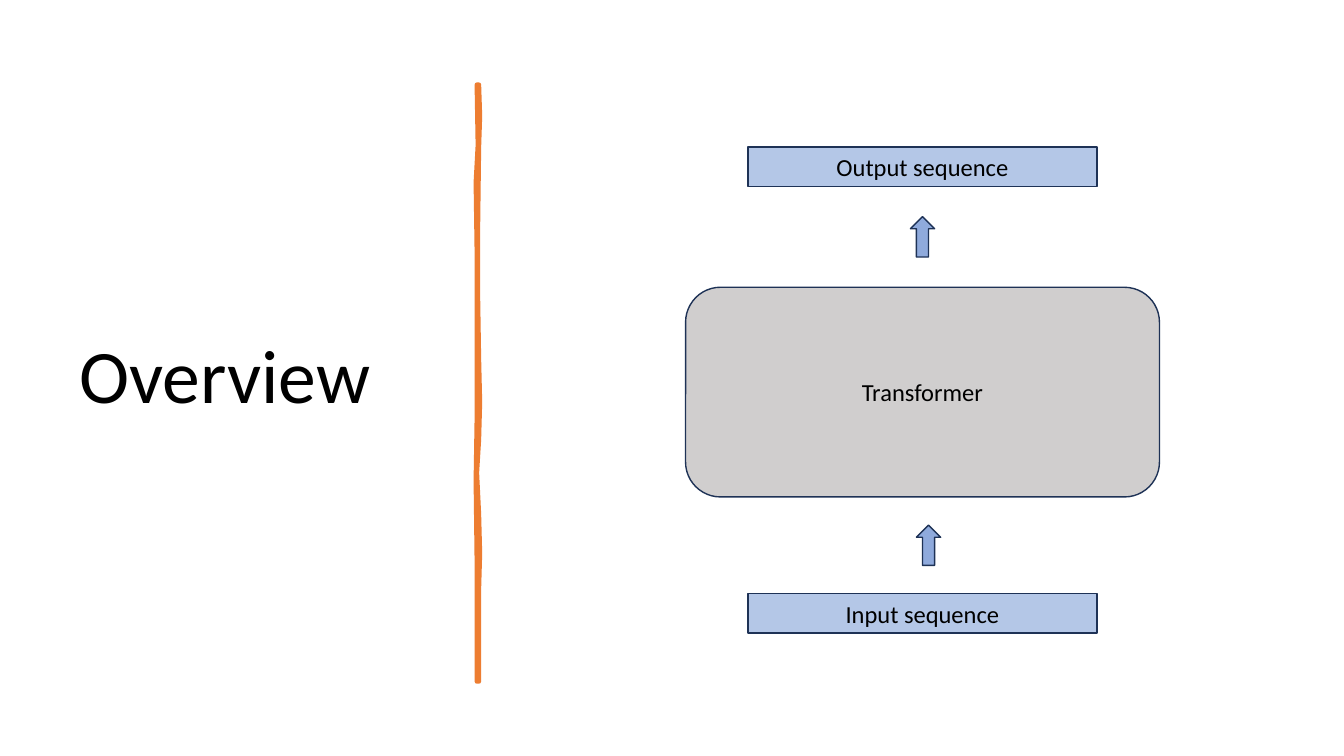
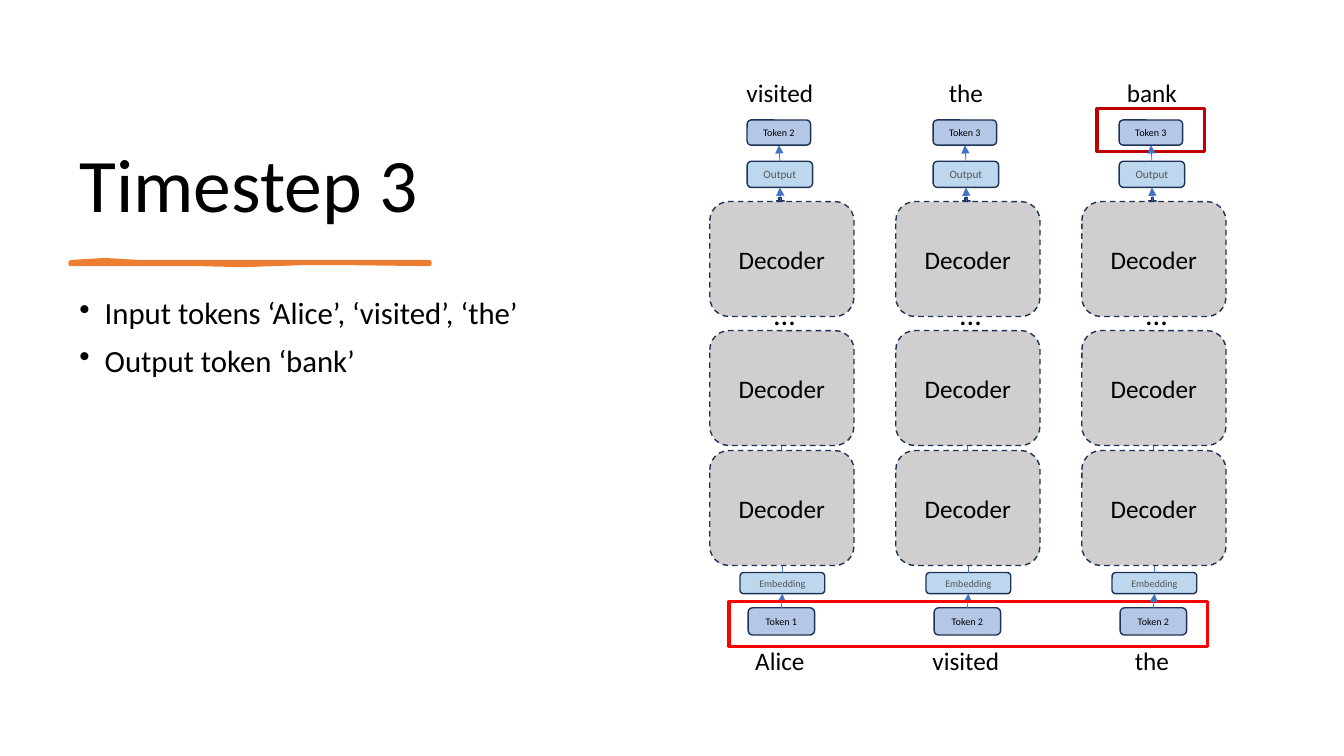
from lxml.etree import SubElement
from pptx import Presentation
from pptx.dml.color import RGBColor
from pptx.enum.dml import MSO_LINE
from pptx.enum.shapes import MSO_CONNECTOR, MSO_SHAPE
from pptx.enum.text import MSO_ANCHOR, PP_ALIGN
from pptx.oxml.ns import qn
from pptx.util import Inches, Pt

COLORS = {
    "ink": "000000", "muted": "555555", "edge": "1E3256", "accent": "ED7D31",
    "gray": "D0CECE", "token": "B4C7E7", "layer": "BDD7EE", "arrow": "8FAADC",
    "link": "4472C4", "input": "FF0000", "output": "C00000",
}
FONT = "Calibri"
TITLE = {"size": 54, "spacing": 0.9}
BODY = {"size": 22, "spacing": 0.9, "bullet": True}

# Brush outline: (distance along, offset across), there and back
BRUSH_TALL = [
    (0, 0.02), (0.31, 0.03), (0.62, 0.02), (1.42, 0.01), (2.1, 0.01),
    (2.72, 0.02), (3.15, 0.03), (3.52, 0.02), (3.85, 0), (4.26, 0.02),
    (4.65, 0.03), (5, 0.02), (5.92, 0.02), (5.92, 0), (5.29, 0),
    (4.73, 0), (3.93, -0.01), (3.31, 0), (2.51, 0), (1.66, 0),
    (0.97, -0.01), (0.6, 0.01), (0, 0),
]
BRUSH_WIDE = [
    (0, 0), (0.34, -0.02), (0.68, 0), (1.39, 0), (2.14, 0), (2.89, 0),
    (3.56, 0), (3.56, 0.02), (2.78, 0.01), (2.3, 0.01), (2, 0.02),
    (1.7, 0.03), (1.29, 0.02), (0.75, 0.02), (0, 0.02),
]


def rgb(name):
    return RGBColor.from_string(COLORS[name])


def paint(shape, fill=None, line="edge", width=1, dash=None):
    shape.shadow.inherit = False
    if fill:
        shape.fill.solid()
        shape.fill.fore_color.rgb = rgb(fill)
    else:
        shape.fill.background()
    shape.line.color.rgb = rgb(line)
    shape.line.width = Pt(width)
    if dash:
        shape.line.dash_style = dash


def write(shape, lines, size, color="ink", align=PP_ALIGN.LEFT,
          anchor=MSO_ANCHOR.TOP, wrap=True, spacing=None, bullet=False):
    frame = shape.text_frame
    frame.word_wrap = wrap
    frame.vertical_anchor = anchor
    for i, line in enumerate(lines):
        para = frame.add_paragraph() if i else frame.paragraphs[0]
        para.text = line
        para.alignment = align
        if spacing:
            para.line_spacing = spacing
        if bullet:
            props = para._p.get_or_add_pPr()
            props.set("marL", str(Inches(0.25)))
            props.set("indent", str(-Inches(0.25)))
            if i:
                para.space_before = Pt(10)
            SubElement(props, qn("a:buChar"), char="•")
        style = {"name": FONT, "size": Pt(size)}
        for key, value in style.items():
            setattr(para.font, key, value)
        para.font.color.rgb = rgb(color)


def label(shapes, box, lines, **style):
    shape = shapes.add_textbox(*map(Inches, box))
    write(shape, lines, **style)


def block(shapes, kind, box, fill=None, text=None, size=18, color="ink", **look):
    shape = shapes.add_shape(kind, *map(Inches, box))
    paint(shape, fill, **look)
    if text:
        frame = shape.text_frame
        for side in ("left", "right", "top", "bottom"):
            setattr(frame, "margin_" + side, 0)
        write(shape, [text], size, color, PP_ALIGN.CENTER, MSO_ANCHOR.MIDDLE)
    return shape


def link(shapes, start, end, source=None, target=None,
         kind=MSO_CONNECTOR.STRAIGHT):
    line = shapes.add_connector(kind, *map(Inches, (*start, *end)))
    if source:
        line.begin_connect(source, 0)
    if target:
        line.end_connect(target, 2)
    line.line.color.rgb = rgb("link")
    line.line.width = Pt(0.5)
    SubElement(line.line._get_or_add_ln(), qn("a:tailEnd"), type="triangle")
    SubElement(line._element.spPr, qn("a:effectLst"))
    return line


def bend(shapes, x, y):
    # Elbow that rises from (x, y), then turns left and up
    wide, high = 0.19, 0.52
    left, top = x - (wide + high) / 2, y - (wide + high) / 2
    line = link(shapes, (left, top + high), (left + wide, top),
                kind=MSO_CONNECTOR.ELBOW)
    line.rotation = 270


def brush(shapes, left, top, outline, width, tall=False):
    points = [(left + b, top + a) if tall else (left + a, top + b)
              for a, b in outline]
    points = [tuple(map(Inches, point)) for point in points]
    pen = shapes.build_freeform(*points[0])
    pen.add_line_segments(points[1:], close=True)
    paint(pen.convert_to_shape(), "accent", "accent", width)


def flow(slide, left, top):
    # Input, model and output, stacked and joined by block arrows
    shapes = slide.shapes.add_group_shape().shapes
    block(shapes, MSO_SHAPE.ROUNDED_RECTANGLE, (left, top + 1.39, 4.7, 2.08),
          "gray", "Transformer", 17.5)
    for text, y in (("Input sequence", 4.43), ("Output sequence", 0)):
        block(shapes, MSO_SHAPE.RECTANGLE, (left + 0.62, top + y, 3.46, 0.39),
              "token", text, 17.5)
    for x, y in ((2.29, 3.75), (2.23, 0.69)):
        block(shapes, MSO_SHAPE.UP_ARROW, (left + x, top + y, 0.24, 0.4), "arrow")


def column(slide, left, top, first, last):
    # One decoder stack, from input token up to output token
    shapes = slide.shapes.add_group_shape().shapes

    def part(x, y, wide, high, fill, text, size=7.2, color="ink", **look):
        return block(shapes, MSO_SHAPE.ROUNDED_RECTANGLE,
                     (left + x, top + y, wide, high), fill, text, size, color, **look)

    def at(x, y):
        return left + x, top + y

    token = part(0.38, 4.84, 0.66, 0.27, "token", first)
    embed = part(0.3, 4.49, 0.84, 0.21, "layer", "Embedding", color="muted")
    output = part(0.37, 0.41, 0.65, 0.26, "layer", "Output", 8, "muted")
    link(shapes, at(0.71, 4.84), at(0.72, 4.7), token, embed)
    result = part(0.37, 0, 0.63, 0.25, "token", last)
    link(shapes, at(0.7, 0.41), at(0.69, 0.25), output, result)
    block(shapes, MSO_SHAPE.MATH_PLUS, (*at(0.65, 0.75), 0.1, 0.13), "link")
    link(shapes, at(0.7, 0.77), at(0.7, 0.67), target=output)
    label(shapes, (*at(0.54, 1.69), 0.72, 0.53), ["…"], size=21.6)

    # Links between the layers
    link(shapes, at(0.72, 4.49), at(0.72, 3.96), embed)
    bend(shapes, *at(0.72, 4.49))
    block(shapes, MSO_SHAPE.MATH_PLUS, (*at(0.67, 3.29), 0.08, 0.09), "link")
    bend(shapes, *at(0.71, 3.3))
    link(shapes, at(0.71, 3.3), at(0.71, 2.78))
    for y in (0.81, 2.09, 3.28):
        part(0, y, 1.43, 1.14, "gray", "Decoder", 18, dash=MSO_LINE.DASH)


def overview(slide):
    label(slide.shapes, (0.69, 0.7, 3.74, 6.11), ["Overview"],
          anchor=MSO_ANCHOR.MIDDLE, **TITLE)
    brush(slide.shapes, 4.73, 0.84, BRUSH_TALL, 3.25, tall=True)
    flow(slide, 6.8, 1.46)


def timestep(slide):
    shapes = slide.shapes
    label(shapes, (0.69, 0.7, 5.27, 1.62), ["Timestep 3"],
          anchor=MSO_ANCHOR.BOTTOM, **TITLE)
    brush(shapes, 0.7, 2.6, BRUSH_WIDE, 3)
    label(shapes, (0.69, 2.91, 5.27, 3.88),
          ["Input tokens ‘Alice’, ‘visited’, ‘the’", "Output token ‘bank’"], **BODY)

    # Decoder columns; the frames lie behind the last one
    left, top, pitch = 7.04, 1.19, 3.69 / 2
    tokens = [("Token 1", "Token 2"), ("Token 2", "Token 3"), ("Token 2", "Token 3")]
    for i, (first, last) in enumerate(tokens):
        if i == 2:
            for box, color in (((7.23, 5.97, 4.75, 0.44), "input"),
                               ((10.88, 1.08, 1.07, 0.42), "output")):
                block(shapes, MSO_SHAPE.RECTANGLE, box, line=color, width=2.25)
        column(slide, left + i * pitch, top, first, last)

    # Words below and above the columns
    for y, words in ((6.35, ("Alice", "visited", "the")),
                     (0.72, ("visited", "the", "bank"))):
        for i, word in enumerate(words):
            label(shapes, (left + i * pitch + 0.26, y, 0.87, 0.4), [word],
                  size=18, align=PP_ALIGN.CENTER, wrap=False)


def main():
    deck = Presentation()
    deck.slide_width, deck.slide_height = Inches(13.33), Inches(7.5)
    for build in (overview, timestep):
        build(deck.slides.add_slide(deck.slide_layouts[6]))
    deck.save("out.pptx")


if __name__ == "__main__":
    main()
